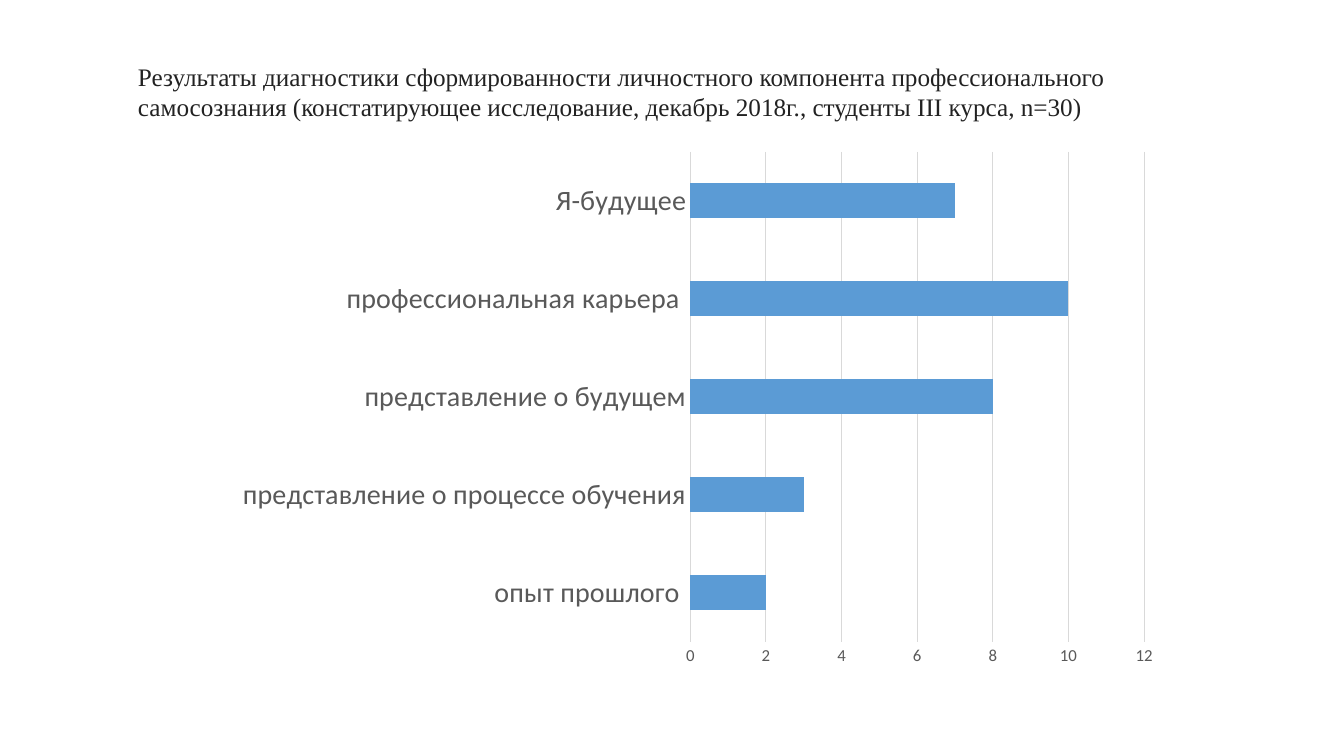
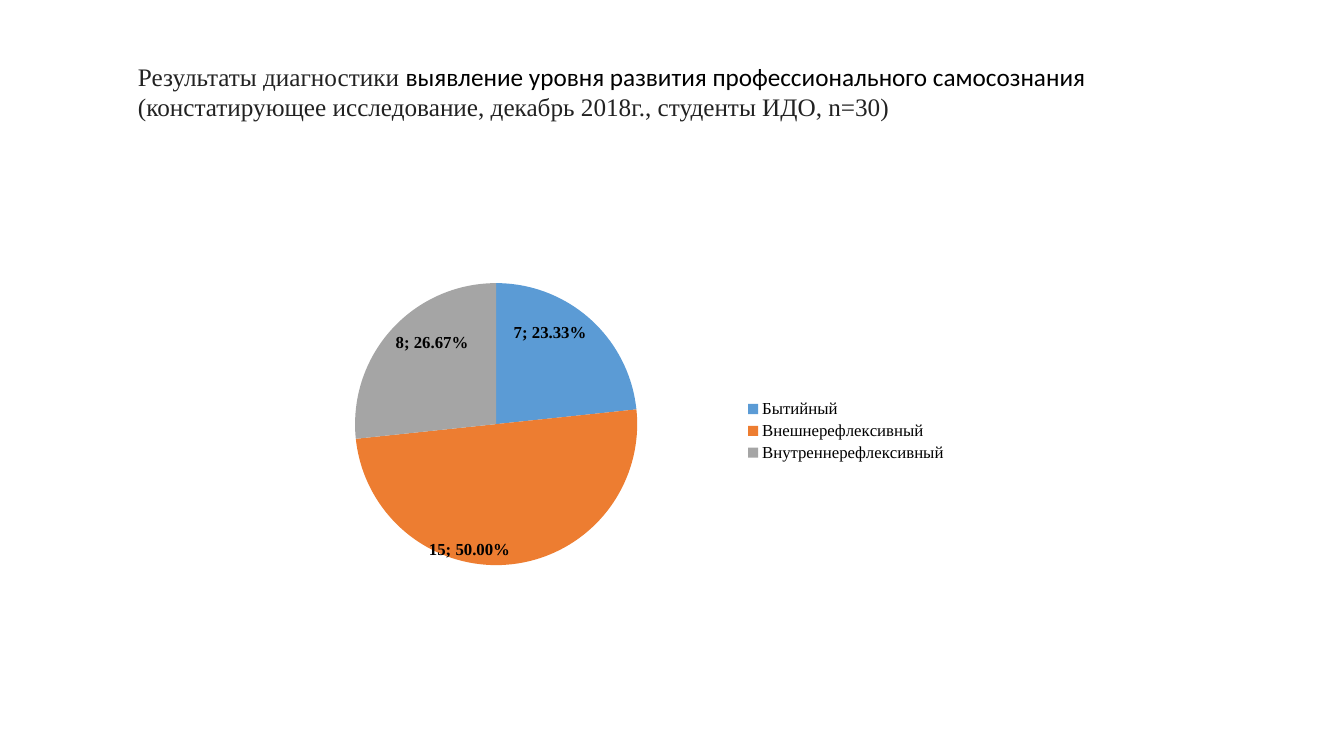
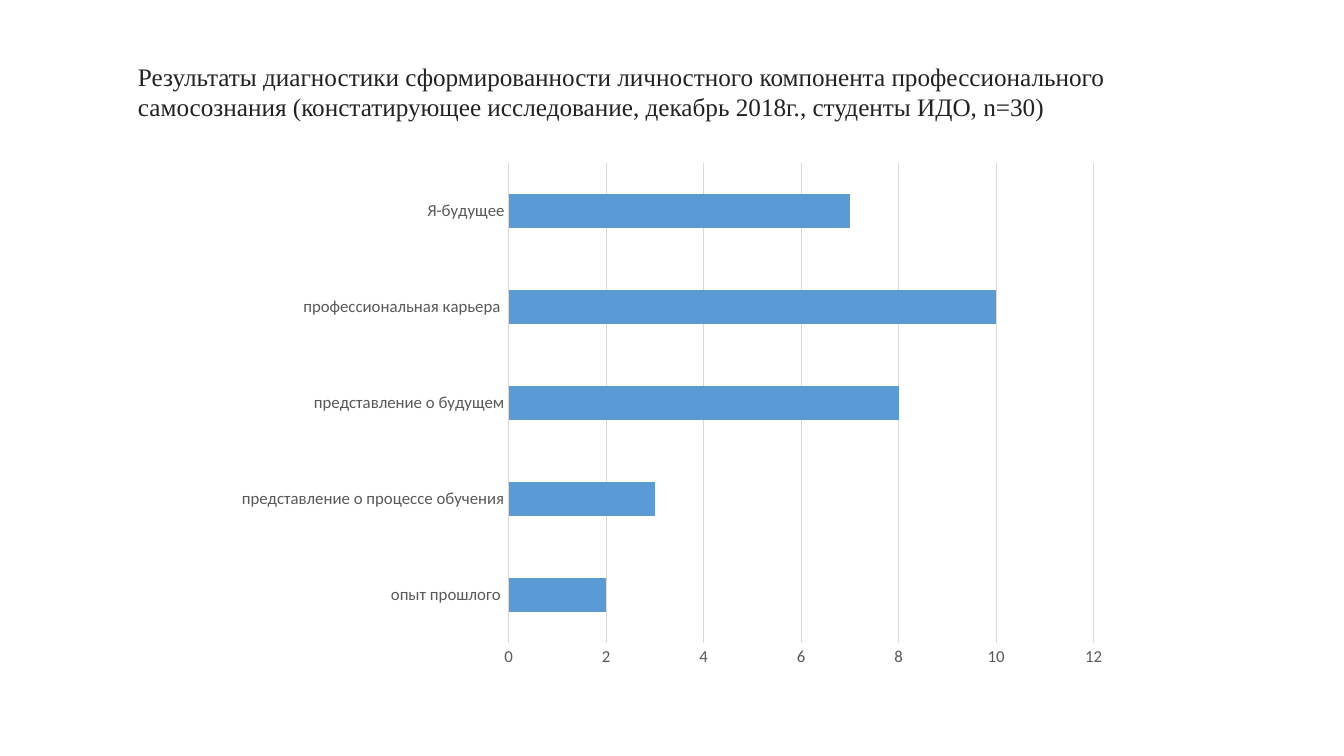
from dataclasses import dataclass

from lxml import etree
from pptx import Presentation
from pptx import util as u
from pptx.chart.data import CategoryChartData
from pptx.dml.color import RGBColor
from pptx.enum import chart as ch, text
from pptx.oxml import ns

Inches, Pt = u.Inches, u.Pt


# Shared look
@dataclass(frozen=True)
class Theme:
    serif: str = "Times New Roman"
    sans: str = "Calibri"
    title_color: str = "222222"
    black: str = "000000"
    axis_text: str = "595959"
    rule: str = "D9D9D9"
    accents: tuple = ("5B9BD5", "ED7D31", "A5A5A5")
    title_size: int = 18
    chart_size: int = 12
    large_size: int = 20
    rule_width: float = 0.75


T = Theme()

# Content
TITLE = ("Результаты диагностики сформированности личностного компонента "
         "профессионального самосознания (констатирующее исследование, "
         "декабрь 2018г., студенты {}, n=30)")
COMPONENTS = {
    "опыт прошлого ": 2,
    "представление о процессе обучения": 3,
    "представление о будущем": 8,
    "профессиональная карьера ": 10,
    "Я-будущее": 7,
}
LEVELS = {"Бытийный": 7, "Внешнерефлексивный": 15, "Внутреннерефлексивный": 8}


def rgb(value):
    return RGBColor.from_string(value)


def style_font(font, size, color, name):
    font.size, font.name = Pt(size), name
    font.color.rgb = rgb(color)


def fill(fmt, color):
    fmt.fill.solid()
    fmt.fill.fore_color.rgb = rgb(color)


def rule(line):
    line.color.rgb = rgb(T.rule)
    line.width = Pt(T.rule_width)


def add_slide(prs, *runs):
    """Add a slide with a title made of (text, font name, colour) runs."""
    s = prs.slides.add_slide(prs.slide_layouts[6])
    sp = s.shapes.add_textbox(Inches(1.27), Inches(0.56), Inches(10.09), Inches(0.71))
    tf = sp.text_frame
    tf.word_wrap = True
    tf.auto_size = text.MSO_AUTO_SIZE.SHAPE_TO_FIT_TEXT
    p = tf.paragraphs[0]
    for words, name, color in runs:
        r = p.add_run()
        r.text = words
        style_font(r.font, T.title_size, color, name)
    return s


def add_chart(s, kind, box, values, font_name):
    data = CategoryChartData()
    data.categories = list(values)
    data.add_series("Series 1", list(values.values()))
    chart = s.shapes.add_chart(kind, *map(Inches, box), data).chart
    chart.has_title = False
    chart.has_legend = False
    style_font(chart.font, T.chart_size, T.black, font_name)
    return chart


def add_bar_chart(s, box, values, category_size):
    chart = add_chart(s, ch.XL_CHART_TYPE.BAR_CLUSTERED, box, values, T.sans)
    plot = chart.plots[0]
    plot.gap_width = 182
    plot.vary_by_categories = False
    fill(plot.series[0].format, T.accents[0])

    cat, val = chart.category_axis, chart.value_axis
    for axis, size in ((cat, category_size), (val, T.chart_size)):
        axis.major_tick_mark = axis.minor_tick_mark = ch.XL_TICK_MARK.NONE
        style_font(axis.tick_labels.font, size, T.axis_text, T.sans)
    rule(cat.format.line)
    val.format.line.fill.background()
    val.has_major_gridlines = True
    rule(val.major_gridlines.format.line)
    val.minimum_scale, val.maximum_scale, val.major_unit = 0, 12, 2


def set_plot_layout(chart, **box):
    """Place the inner plot area by fractions of the chart's size."""
    area = chart.plots[0]._element.getparent()
    for old in area.findall(ns.qn("c:layout")):
        area.remove(old)
    layout = etree.Element(ns.qn("c:layout"))
    area.insert(0, layout)
    manual = etree.SubElement(layout, ns.qn("c:manualLayout"))
    settings = {"layoutTarget": "inner", "xMode": "edge", "yMode": "edge", **box}
    for tag, value in settings.items():
        etree.SubElement(manual, ns.qn("c:" + tag)).set("val", str(value))


def add_pie_chart(s, box, values):
    chart = add_chart(s, ch.XL_CHART_TYPE.PIE, box, values, T.serif)
    chart.has_legend = True
    chart.legend.position = ch.XL_LEGEND_POSITION.RIGHT
    chart.legend.include_in_layout = False
    set_plot_layout(chart, x=0.06, y=0.04, w=0.44, h=0.89)

    series = chart.plots[0].series[0]
    for i, color in enumerate(T.accents):
        fill(series.points[i].format, color)

    # Value and share on each slice
    labels = series.data_labels
    labels.show_value = labels.show_percentage = True
    labels.number_format = "0.00%"
    labels.number_format_is_linked = False
    labels.position = ch.XL_LABEL_POSITION.INSIDE_END
    style_font(labels.font, T.chart_size, T.black, T.serif)
    labels.font.bold = True
    separator = etree.Element(ns.qn("c:separator"))
    separator.text = "; "
    labels._element.find(ns.qn("c:showBubbleSize")).addnext(separator)


def main():
    prs = Presentation()
    prs.slide_width, prs.slide_height = Inches(13.33), Inches(7.5)

    # Personal component, third-year students
    s = add_slide(prs, (TITLE.format("III курса"), T.serif, T.title_color))
    add_bar_chart(s, (2.22, 1.4, 9.4, 5.31), COMPONENTS, T.large_size)

    # Levels of professional self-awareness
    s = add_slide(
        prs,
        ("Результаты диагностики ", T.serif, T.title_color),
        ("выявление уровня развития профессионального самосознания ", T.sans, T.black),
        ("(констатирующее исследование, декабрь 2018г., студенты ИДО, n=30)",
         T.serif, T.title_color),
    )
    add_pie_chart(s, (3.14, 2.06, 6.36, 4.43), LEVELS)

    # Personal component, institute students
    s = add_slide(prs, (TITLE.format("ИДО"), T.serif, T.title_color))
    add_bar_chart(s, (2.22, 1.51, 8.89, 5.21), COMPONENTS, T.chart_size)

    prs.save("out.pptx")


main()
